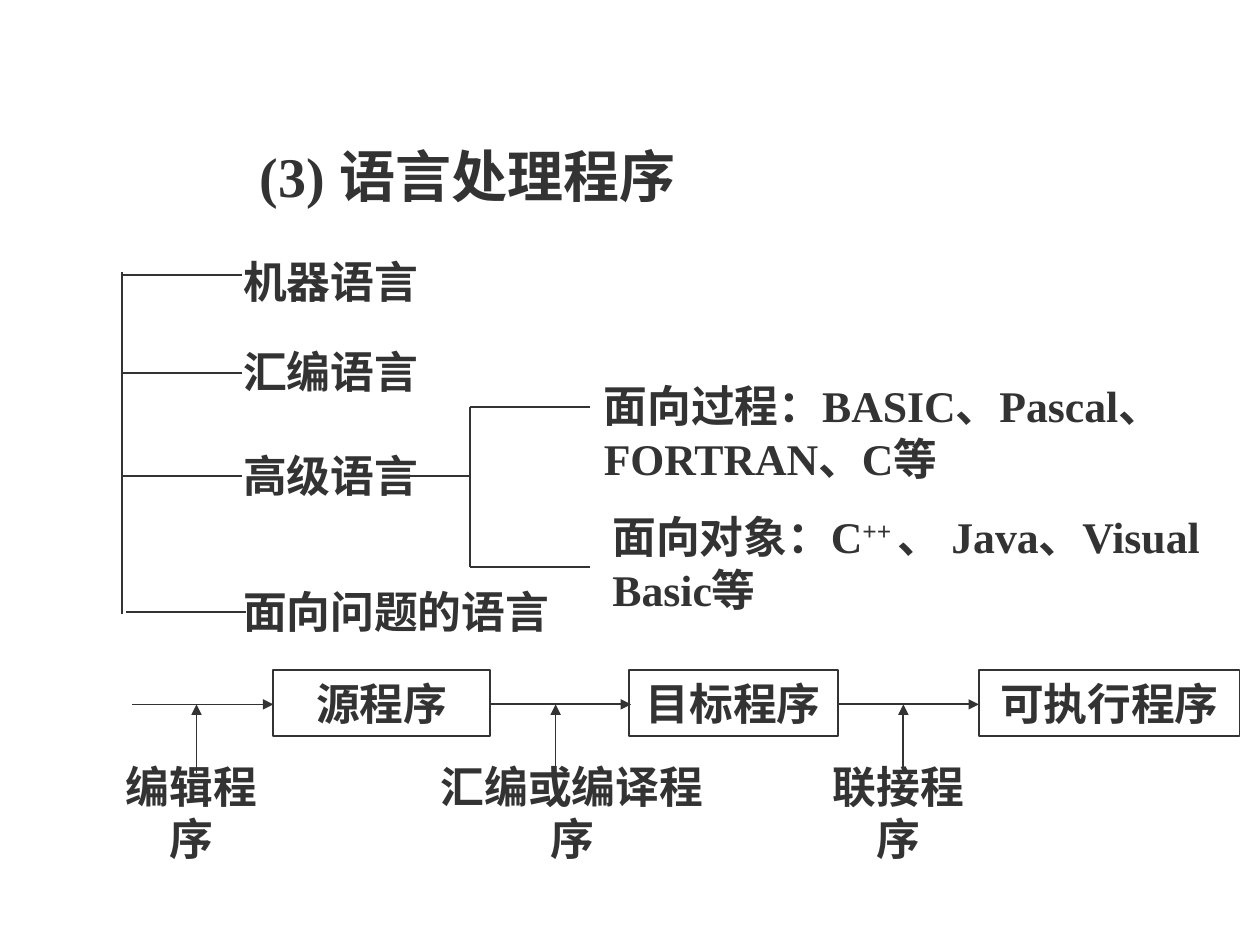
from lxml import etree
from pptx import Presentation
from pptx.dml.color import RGBColor
from pptx.enum.shapes import MSO_CONNECTOR, MSO_SHAPE
from pptx.enum.text import MSO_ANCHOR, PP_ALIGN
from pptx.oxml.ns import qn
from pptx.util import Pt

LEFT, CENTER, JUSTIFY = PP_ALIGN.LEFT, PP_ALIGN.CENTER, PP_ALIGN.JUSTIFY
TOP = MSO_ANCHOR.TOP
RECTANGLE, STRAIGHT = MSO_SHAPE.RECTANGLE, MSO_CONNECTOR.STRAIGHT
INK = "333333"
LATIN_FONT, CHINESE_FONT = "Times New Roman", "Noto Sans CJK SC"
TEXT_SIZE, TITLE_SIZE = 25, 32

TITLE = "(3) 语言处理程序"
# text, top, width, start of its branch, height of its branch
LANGUAGES = [
    ("机器语言", 141.8, 155.5, 69.8, 157),
    ("汇编语言", 193.7, 130, 69.8, 213.1),
    ("高级语言", 252.7, 124, 69.8, 272.2),
    ("面向问题的语言", 330.5, 211, 72, 349.9),
]
# runs as (text, baseline), left, top, width, height of its branch
PARADIGMS = [
    ([("面向过程：BASIC、Pascal、 FORTRAN、C等", 0)], 337, 213.1, 352.1, 232.6),
    ([("面向对象：C", 0), ("++ ", 30000), ("、 Java、Visual Basic等", 0)],
     342, 288, 354.2, 324),
]
# program, left, width, line width of the arrow leading to it
PROGRAMS = [
    ("源程序", 156.2, 123.8, 0.25),
    ("目标程序", 359.3, 119.5, 1),
    ("可执行程序", 559.4, 149, 1),
]
# tool, left, width, x of its upward arrow, start of the flow arrow it acts on
TOOLS = [
    ("编辑程序", 51.8, 115.2, 112.3, 75.6),
    ("汇编或编译程序", 231.8, 190, 317.5, 280),
    ("联接程序", 455.8, 115.2, 516.2, 478.8),
]

LANGUAGE_LEFT, TRUNK_X, SUBTRUNK_X, BRANCH = 131.8, 69.8, 268.6, 68.4
HIGH_LEVEL_Y = LANGUAGES[2][4]
FLOW_Y, FLOW_LENGTH, TOOL_ARROW_START = 402.5, 80.6, 442
BOX_TOP, BOX_HEIGHT, TOOL_TOP = 383, 37.5, 430.5


def color(value):
    return RGBColor.from_string(value)


def write(shape, runs, align=LEFT, size=TEXT_SIZE, wrap=True, insets=(8, 3.6), space_before=0):
    frame = shape.text_frame
    horizontal, vertical = map(Pt, insets)
    frame_format = {
        "word_wrap": wrap, "vertical_anchor": TOP,
        "margin_left": horizontal, "margin_right": horizontal,
        "margin_top": vertical, "margin_bottom": vertical,
    }
    for name, value in frame_format.items():
        setattr(frame, name, value)
    paragraph = frame.paragraphs[0]
    paragraph.alignment = align
    paragraph.space_before = Pt(space_before)
    run_format = {"name": LATIN_FONT, "size": Pt(size), "bold": True}
    for text, baseline in runs:
        run = paragraph.add_run()
        run.text = text
        for name, value in run_format.items():
            setattr(run.font, name, value)
        run.font.color.rgb = color(INK)
        properties = run._r.get_or_add_rPr()
        etree.SubElement(properties, qn("a:ea"), typeface=CHINESE_FONT)
        if baseline:
            properties.set("baseline", str(baseline))


def add_text(slide, runs, left, top, width, height, **text_format):
    box = slide.shapes.add_textbox(*map(Pt, (left, top, width, height)))
    write(box, runs, **text_format)


def add_box(slide, text, left, width):
    shape = slide.shapes.add_shape(
        RECTANGLE, *map(Pt, (left, BOX_TOP, width, BOX_HEIGHT)))
    shape.shadow.inherit = False
    shape.fill.background()
    shape.line.color.rgb = color(INK)
    shape.line.width = Pt(1)
    write(shape, [(text, 0)], align=CENTER)


def add_line(slide, x1, y1, x2, y2, width=1, arrow=False):
    line = slide.shapes.add_connector(STRAIGHT, *map(Pt, (x1, y1, x2, y2)))
    line.line.color.rgb = color(INK)
    line.line.width = Pt(width)
    if arrow:
        etree.SubElement(line.line._get_or_add_ln(), qn("a:tailEnd"), type="triangle")
    etree.SubElement(line._element.spPr, qn("a:effectLst"))


def draw_language_tree(slide):
    add_line(slide, TRUNK_X, 155.5, TRUNK_X, 350.6)
    for text, top, width, start, y in LANGUAGES:
        add_line(slide, start, y, start + BRANCH, y)
        add_text(slide, [(text, 0)], LANGUAGE_LEFT, top, width, 36.7,
                 align=JUSTIFY, insets=(7.2, 3.6))
    add_line(slide, 224.6, HIGH_LEVEL_Y, SUBTRUNK_X, HIGH_LEVEL_Y)
    add_line(slide, SUBTRUNK_X, PARADIGMS[0][-1], SUBTRUNK_X, PARADIGMS[-1][-1])
    for runs, left, top, width, y in PARADIGMS:
        add_line(slide, SUBTRUNK_X, y, SUBTRUNK_X + BRANCH, y)
        add_text(slide, runs, left, top, width, 67.7)


def draw_translation_flow(slide):
    for (program, box_left, box_width, line_width), tool in zip(PROGRAMS, TOOLS):
        text, left, width, arrow_x, start = tool
        add_box(slide, program, box_left, box_width)
        add_line(slide, start, FLOW_Y, start + FLOW_LENGTH, FLOW_Y, line_width, arrow=True)
        add_line(slide, arrow_x, TOOL_ARROW_START, arrow_x, FLOW_Y, arrow=True)
        add_text(slide, [(text, 0)], left, TOOL_TOP, width, BOX_HEIGHT,
                 align=CENTER, wrap=False)


def main():
    presentation = Presentation()
    presentation.slide_width, presentation.slide_height = Pt(720), Pt(540)
    slide = presentation.slides.add_slide(presentation.slide_layouts[6])
    add_text(slide, [(TITLE, 0)], 142.6, 77.8, 494, 32.4,
             size=TITLE_SIZE, insets=(5.8, 2.9), space_before=8)
    draw_language_tree(slide)
    draw_translation_flow(slide)
    presentation.save("out.pptx")


if __name__ == "__main__":
    main()
